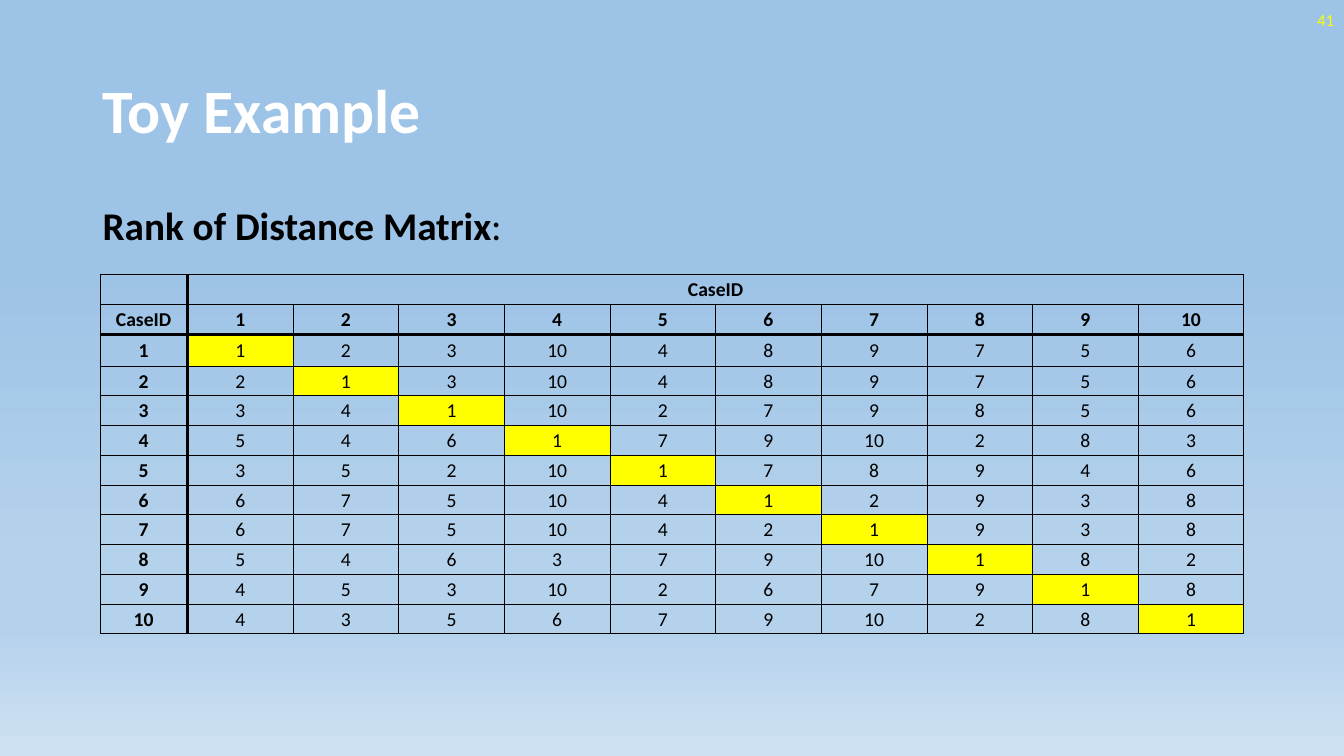
from lxml.etree import SubElement as Sub
from pptx import Presentation as Deck
from pptx.dml.color import RGBColor as Rgb
from pptx.enum.text import MSO_ANCHOR as Anchor, PP_ALIGN as Align
from pptx.oxml.ns import qn
from pptx.util import Inches, Pt

HUES = {"ink": "000000", "title": "FFFFFF", "mark": "FFFF00",
        "sky": "9DC3E6", "haze": "B5D2EC", "pale": "CEE1F2"}
STOPS = [(35, "sky"), (74, "haze"), (83, "haze"), (100, "pale")]
RANKS = [
    [1, 2, 3, 10, 4, 8, 9, 7, 5, 6],
    [2, 1, 3, 10, 4, 8, 9, 7, 5, 6],
    [3, 4, 1, 10, 2, 7, 9, 8, 5, 6],
    [5, 4, 6, 1, 7, 9, 10, 2, 8, 3],
    [3, 5, 2, 10, 1, 7, 8, 9, 4, 6],
    [6, 7, 5, 10, 4, 1, 2, 9, 3, 8],
    [6, 7, 5, 10, 4, 2, 1, 9, 3, 8],
    [5, 4, 6, 3, 7, 9, 10, 1, 8, 2],
    [4, 5, 3, 10, 2, 6, 7, 9, 1, 8],
    [4, 3, 5, 6, 7, 9, 10, 2, 8, 1],
]


class Page:
    """Draws styled elements on one slide."""

    def __init__(self, slide, face="Calibri"):
        self.slide = slide
        self.face = face

    def tint(self, name):
        return Rgb.from_string(HUES[name])

    def style(self, run, size, hue, bold=False):
        font = run.font
        font.name, font.size, font.bold = self.face, Pt(size), bold
        font.color.rgb = self.tint(hue)

    def back(self, stops):
        fill = self.slide.background.fill
        fill.gradient()
        grad = self.slide.background._cSld.find(".//" + qn("a:gradFill"))
        for old in list(grad):
            grad.remove(old)
        group = Sub(grad, qn("a:gsLst"))
        for place, hue in stops:
            stop = Sub(group, qn("a:gs"), pos=str(place * 1000))
            Sub(stop, qn("a:srgbClr"), val=HUES[hue])
        Sub(grad, qn("a:lin"), ang="5400000", scaled="0")

    def text(self, area, parts, size, hue, anchor=Anchor.TOP,
             align=Align.LEFT, space=0.9):
        box = self.slide.shapes.add_textbox(*map(Inches, area))
        frame = box.text_frame
        frame.word_wrap = True
        frame.vertical_anchor = anchor
        para = frame.paragraphs[0]
        para.alignment, para.line_spacing = align, space
        for words, bold in parts:
            run = para.add_run()
            run.text = words
            self.style(run, size, hue, bold)

    def edge(self, cell, widths):
        props = cell._tc.get_or_add_tcPr()
        for side, width in zip("LRTB", widths):
            line = Sub(props, qn("a:ln" + side), w=str(Pt(width)))
            fill = Sub(line, qn("a:solidFill"))
            Sub(fill, qn("a:srgbClr"), val=HUES["ink"])

    def cell(self, cell, words, size, bold, widths, mark):
        self.edge(cell, widths)
        if mark:
            cell.fill.solid()
            cell.fill.fore_color.rgb = self.tint("mark")
        else:
            cell.fill.background()
        cell.margin_left = cell.margin_right = cell.margin_top = Inches(0.01)
        cell.margin_bottom = 0
        cell.vertical_anchor = Anchor.MIDDLE
        para = cell.text_frame.paragraphs[0]
        para.text = words
        para.alignment = Align.CENTER
        for run in para.runs:
            self.style(run, size, "ink", bold)
        if not words:
            Sub(para._p, qn("a:endParaRPr"), sz=str(size * 100))

    def table(self, area, data, wide, high, size=14, thin=0.5, thick=2):
        frame = self.slide.shapes.add_table(
            len(data), len(data[0]), *map(Inches, area))
        grid = frame.table
        grid.first_row = grid.horz_banding = False
        for col, width in zip(grid.columns, wide):
            col.width = Inches(width)
        for row, height in zip(grid.rows, high):
            row.height = Inches(height)
        for r, row in enumerate(data):
            for c, words in enumerate(row):
                heavy = (c == 1, c == 0, r == 2, r == 1)
                widths = [thick if bold else thin for bold in heavy]
                self.cell(grid.cell(r, c), words, size, r < 2 or c == 0,
                          widths, r > 1 and c == r - 1)
        grid.cell(0, 1).merge(grid.cell(0, len(data[0]) - 1))


def main():
    deck = Deck()
    deck.slide_width, deck.slide_height = Inches(13.33), Inches(7.5)
    page = Page(deck.slides.add_slide(deck.slide_layouts[6]))
    page.back(STOPS)
    page.text((0.92, 2, 11.5, 4.76),
              [("Rank of Distance Matrix", True), (":", False)], 28, "ink")
    page.text((0.92, 0.4, 11.5, 1.45), [("Toy Example", True)],
              44, "title", Anchor.MIDDLE)
    page.text((10.33, 0, 3, 0.4), [("41", False)],
              12, "mark", Anchor.MIDDLE, Align.RIGHT, 1.0)

    count = len(RANKS)
    data = [["", "CaseID"] + [""] * (count - 1),
            ["CaseID"] + [str(n) for n in range(1, count + 1)]]
    data += [[str(n) for n in (case, *row)]
             for case, row in enumerate(RANKS, 1)]
    wide = [0.87] + [10.48 / count] * count
    high = [0.3, 0.3, 0.31] + [2.66 / (count - 1)] * (count - 1)
    page.table((0.99, 2.72, 11.35, 3.57), data, wide, high)
    deck.save("out.pptx")


if __name__ == "__main__":
    main()
